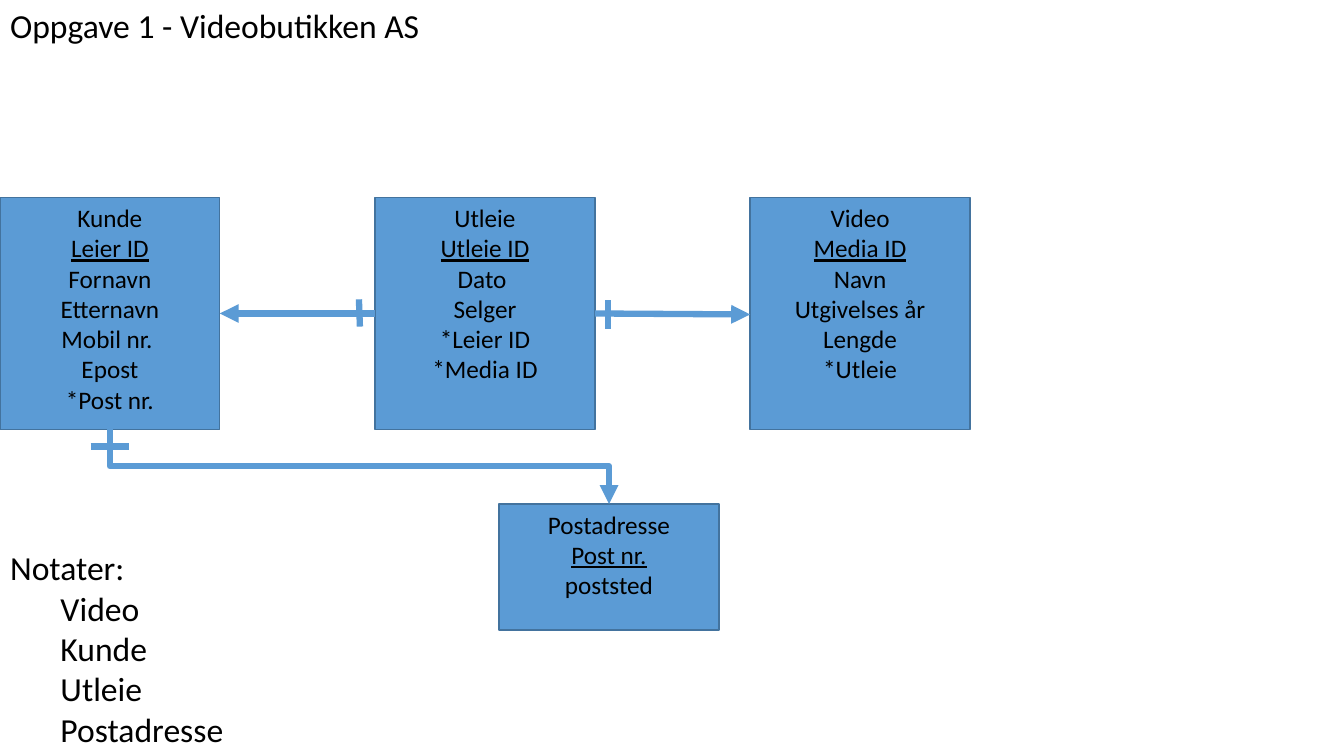
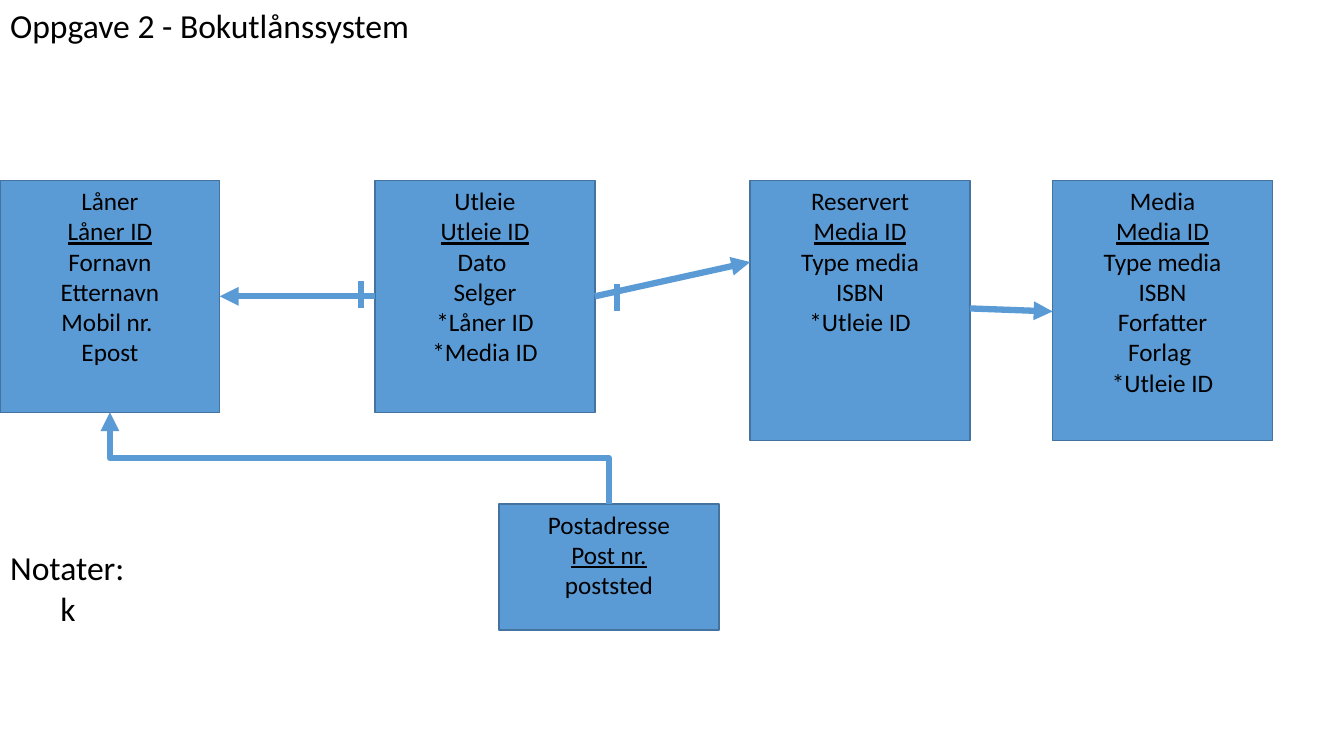
from lxml.etree import SubElement
from pptx import Presentation
from pptx.dml.color import RGBColor
from pptx.enum.shapes import MSO_CONNECTOR as Connector, MSO_SHAPE as Preset
from pptx.enum.text import MSO_ANCHOR as Anchor, MSO_AUTO_SIZE as AutoSize, PP_ALIGN as Align
from pptx.oxml.ns import qn
from pptx.util import Inches, Pt

# Shared look and grid, in inches
BLUE, EDGE, BLACK = "5B9BD5", "43739E", "000000"
FONT = "Calibri"
COLUMN = 3.72
BOX_WIDTH = 2.18
MIDDLE = BOX_WIDTH / 2
ADDRESS_LEFT, ADDRESS_TOP = 4.95, 5
ADDRESS_MIDDLE = ADDRESS_LEFT + MIDDLE
TEXT_WIDTH = 5.44
ADDRESS = (ADDRESS_LEFT, ADDRESS_TOP, 1.25, ["Postadresse", "Post nr.", "poststed"])


def paint(fill, colour):
    fill.solid()
    fill.fore_color.rgb = RGBColor.from_string(colour)


def add_line(slide, start, end, arrow=False, bent=False):
    kind = Connector.ELBOW if bent else Connector.STRAIGHT
    line = slide.shapes.add_connector(kind, *[Inches(value) for value in (*start, *end)])
    paint(line.line.fill, BLUE)
    line.line.width = Pt(4.5)
    SubElement(line._element.spPr, qn("a:effectLst"))
    if arrow:
        SubElement(line.line._get_or_add_ln(), qn("a:tailEnd"), type="triangle")
    if bent:
        # A quarter turn makes the elbow leave and arrive vertically
        across, down = end[0] - start[0], end[1] - start[1]
        line.width, line.height = Inches(abs(down)), Inches(abs(across))
        line.left = Inches((start[0] + end[0] - abs(down)) / 2)
        line.top = Inches((start[1] + end[1] - abs(across)) / 2)
        frame = line._element.spPr.find(qn("a:xfrm"))
        frame.set("rot", str(270 * 60000))
        frame.set("flipH", str(int(down > 0)))
        frame.set("flipV", str(int(across < 0)))


# Per slide: tables (left, top, height, fields), arrows, cross ticks, elbow, notes
diagrams = [
    {
        "title": "Oppgave 1 - Videobutikken AS",
        "notes": ["Video", "Kunde", "Utleie", "Postadresse"],
        "tables": [
            (0, 1.96, 2.3, ["Kunde", "Leier ID", "Fornavn", "Etternavn", "Mobil nr. ",
                            "Epost", "*Post nr."]),
            (COLUMN, 1.96, 2.3, ["Utleie", "Utleie ID", "Dato ", "Selger", "*Leier ID",
                                 "*Media ID"]),
            (2 * COLUMN, 1.96, 2.3, ["Video", "Media ID", "Navn", "Utgivelses år",
                                     "Lengde", "*Utleie"]),
            ADDRESS,
        ],
        "arrows": [((COLUMN, 3.11), (BOX_WIDTH, 3.11)),
                   ((COLUMN + BOX_WIDTH, 3.11), (2 * COLUMN, 3.12))],
        "ticks": [((0.9, 4.43), (1.28, 4.43)), ((3.57, 3.24), (3.56, 2.97)),
                  ((6.03, 3.26), (6.03, 2.98))],
        "elbow": ((MIDDLE, 4.25), (ADDRESS_MIDDLE, ADDRESS_TOP)),
    },
    {
        "title": "Oppgave 2 - Bokutlånssystem",
        "notes": ["k"],
        "tables": [
            (0, 1.79, 2.3, ["Låner", "Låner ID", "Fornavn", "Etternavn", "Mobil nr. ",
                            "Epost"]),
            (COLUMN, 1.79, 2.3, ["Utleie", "Utleie ID", "Dato ", "Selger", "*Låner ID",
                                 "*Media ID"]),
            (2 * COLUMN, 1.79, 2.58, ["Reservert", "Media ID", "Type media", "ISBN",
                                      "*Utleie ID"]),
            (10.44, 1.79, 2.58, ["Media", "Media ID", "Type media", "ISBN", "Forfatter",
                                 "Forlag ", "*Utleie ID"]),
            ADDRESS,
        ],
        "arrows": [((COLUMN, 2.94), (BOX_WIDTH, 2.94)),
                   ((COLUMN + BOX_WIDTH, 2.94), (2 * COLUMN, 2.6)),
                   ((2 * COLUMN + BOX_WIDTH, 3.06), (10.44, 3.09))],
        "ticks": [((3.58, 3.06), (3.58, 2.79)), ((6.12, 3.09), (6.12, 2.82))],
        "elbow": ((ADDRESS_MIDDLE, ADDRESS_TOP), (MIDDLE, 4.09)),
    },
]

presentation = Presentation()
presentation.slide_width, presentation.slide_height = Inches(13.33), Inches(7.5)

for diagram in diagrams:
    slide = presentation.slides.add_slide(presentation.slide_layouts[1])

    # Title and notes in the template's placeholders
    title, body = slide.placeholders
    for shape, top, height, lines in (
        (title, 0, 0.5, [diagram["title"]]),
        (body, 5.38, 2.12, ["Notater:"] + diagram["notes"]),
    ):
        shape.left, shape.top = 0, Inches(top)
        shape.width, shape.height = Inches(TEXT_WIDTH), Inches(height)
        frame = shape.text_frame
        frame.auto_size = AutoSize.NONE
        frame.vertical_anchor = Anchor.TOP
        for index, text in enumerate(lines):
            paragraph = frame.add_paragraph() if index else frame.paragraphs[0]
            paragraph.level = min(index, 1)
            paragraph.alignment = Align.LEFT
            paragraph.space_before = Pt(0)
            properties = paragraph._p.get_or_add_pPr()
            properties.set("marL", str(Inches(0.5 * paragraph.level)))
            properties.set("indent", "0")
            SubElement(properties, qn("a:buNone"))
            run = paragraph.add_run()
            run.text = text
            run.font.name, run.font.size = FONT, Pt(24)
            paint(run.font.fill, BLACK)

    # Entity boxes, with the key field underlined
    for left, top, height, fields in diagram["tables"]:
        box = slide.shapes.add_shape(Preset.RECTANGLE, Inches(left), Inches(top),
                                     Inches(BOX_WIDTH), Inches(height))
        box.shadow.inherit = False
        paint(box.fill, BLUE)
        paint(box.line.fill, EDGE)
        box.line.width = Pt(1)
        frame = box.text_frame
        frame.word_wrap = True
        frame.vertical_anchor = Anchor.TOP
        for index, field in enumerate(fields):
            paragraph = frame.add_paragraph() if index else frame.paragraphs[0]
            paragraph.alignment = Align.CENTER
            run = paragraph.add_run()
            run.text = field
            run.font.name, run.font.size = FONT, Pt(18)
            run.font.underline = index == 1
            paint(run.font.fill, BLACK)

    # Relations
    for start, end in diagram["arrows"]:
        add_line(slide, start, end, arrow=True)
    for start, end in diagram["ticks"]:
        add_line(slide, start, end)
    add_line(slide, *diagram["elbow"], arrow=True, bent=True)

presentation.save("out.pptx")
